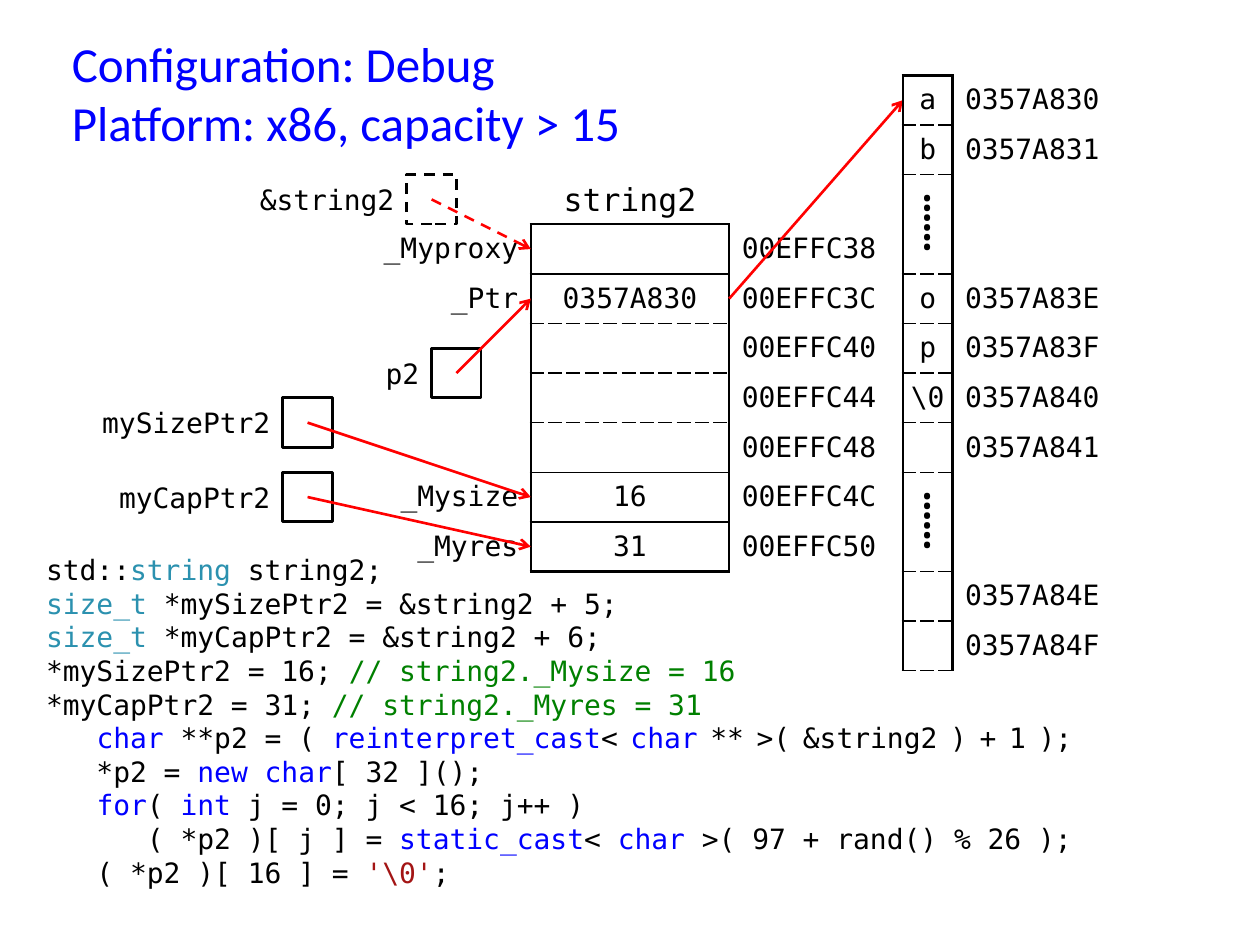
from lxml.etree import SubElement
from pptx import Presentation
from pptx.dml.color import RGBColor
from pptx.enum.dml import MSO_LINE
from pptx.enum.shapes import MSO_CONNECTOR, MSO_SHAPE
from pptx.enum.text import MSO_ANCHOR, PP_ALIGN
from pptx.oxml import parse_xml
from pptx.oxml.ns import nsdecls, qn
from pptx.util import Emu, Inches, Pt

PX = 7200
MONO = "DejaVu Sans Mono"
BLACK, BLUE, RED = "000000", "0000FF", "FF0000"
TEAL, GREEN, BROWN = "2B91AF", "008000", "A31515"
LEFT, CENTER, RIGHT = PP_ALIGN.LEFT, PP_ALIGN.CENTER, PP_ALIGN.RIGHT
NO_GRID = "{2D5ABB26-0587-4C30-8999-92F81FD0307C}"
CELL = 50
OUTER, SOLID, DASHED = (1.5, "solid"), (1, "solid"), (1, "sysDash")


def px(length):
    return Emu(length * PX)


def color(value):
    return RGBColor.from_string(value)


def add_span(paragraph, text, font=MONO, size=16, fill=BLACK):
    span = paragraph.add_run()
    span.text = text
    span.font.name = font
    span.font.size = Pt(size)
    span.font.color.rgb = color(fill)


def tight(text):
    spans = []
    for word in text.split():
        spans += [(" ", BLACK, 12), (word, BLUE if word == "char" else BLACK, 16)]
    return spans


def border_cell(cell, borders):
    properties = cell._tc.get_or_add_tcPr()
    for index, side in enumerate("LRTB"):
        width, dash = borders.get(side, (0, None))
        paint = (
            f'<a:solidFill><a:srgbClr val="{BLACK}"/></a:solidFill><a:prstDash val="{dash}"/>'
            if width else "<a:noFill/>"
        )
        line = parse_xml(f'<a:ln{side} {nsdecls("a")} w="{Pt(width)}">{paint}</a:ln{side}>')
        properties.insert(index, line)


class Sketch:
    def __init__(self, page):
        self.page = page
        self.stroke = 1.5

    def text_box(self, left, top, width, height, anchor=MSO_ANCHOR.MIDDLE):
        box = self.page.shapes.add_textbox(px(left), px(top), px(width), px(height))
        box.text_frame.word_wrap = True
        box.text_frame.vertical_anchor = anchor
        return box.text_frame

    def title(self, left, top, width, height, lines):
        paragraph = self.text_box(left, top, width, height, MSO_ANCHOR.TOP).paragraphs[0]
        for index, line in enumerate(lines):
            if index:
                paragraph.add_line_break()
            add_span(paragraph, line, font="Calibri", size=28, fill=BLUE)

    def label(self, left, top, width, text, align=RIGHT, size=16):
        paragraph = self.text_box(left, top, width, CELL).paragraphs[0]
        paragraph.alignment = align
        add_span(paragraph, text, size=size)

    def code(self, left, top, width, height, lines):
        frame = self.text_box(left, top, width, height, MSO_ANCHOR.TOP)
        for index, line in enumerate(lines):
            paragraph = frame.add_paragraph() if index else frame.paragraphs[0]
            paragraph.line_spacing = Pt(19.2)
            for text, fill, *size in line:
                add_span(paragraph, text, fill=fill, size=size[0] if size else 16)

    def pointer_box(self, left, top, dash=None):
        box = self.page.shapes.add_shape(
            MSO_SHAPE.RECTANGLE, px(left), px(top), px(CELL), px(CELL))
        box.shadow.inherit = False
        box.fill.background()
        box.line.color.rgb = color(BLACK)
        box.line.width = Pt(self.stroke)
        box.line.dash_style = dash

    def arrow(self, start, end, dash=None):
        arrow = self.page.shapes.add_connector(
            MSO_CONNECTOR.STRAIGHT, *map(px, start + end))
        arrow.line.color.rgb = color(RED)
        arrow.line.width = Pt(self.stroke)
        arrow.line.dash_style = dash
        SubElement(arrow.line._get_or_add_ln(), qn("a:tailEnd"), type="arrow")
        SubElement(arrow.element.spPr, qn("a:effectLst"))

    def memory(self, left, top, widths, rows, aligns, boxed, edges):
        frame = self.page.shapes.add_table(
            len(rows), len(widths), px(left), px(top), px(sum(widths)), px(CELL * len(rows)))
        table = frame.table
        table.first_row = table.horz_banding = False
        for style in frame.element.iter(qn("a:tableStyleId")):
            style.text = NO_GRID
        for column, width in zip(table.columns, widths):
            column.width = px(width)
        for row in table.rows:
            row.height = px(CELL)
        for y, texts in enumerate(rows):
            for x, text in enumerate(texts):
                cell = table.cell(y, x)
                cell.fill.background()
                cell.vertical_anchor = MSO_ANCHOR.MIDDLE
                cell.margin_top = cell.margin_bottom = 0
                if text is None:
                    table.cell(y - 1, x).merge(cell)
                    continue
                borders = {}
                if x == boxed:
                    cell.margin_left = cell.margin_right = 0
                    borders = {"L": OUTER, "R": OUTER, "T": edges[y], "B": edges[y + 1]}
                border_cell(cell, borders)
                paragraph = cell.text_frame.paragraphs[0]
                paragraph.alignment = aligns[x]
                if text == "⸽":
                    add_span(paragraph, text, font="Times New Roman", size=28)
                elif text:
                    add_span(paragraph, text)


CODE = [
    [("std::", BLACK), ("string ", TEAL), ("string2;", BLACK)],
    [("size_t ", TEAL), ("*mySizePtr2 = &string2 + 5;", BLACK)],
    [("size_t ", TEAL), ("*myCapPtr2 = &string2 + 6;", BLACK)],
    [("*mySizePtr2 = 16; ", BLACK), ("// string2._Mysize = 16", GREEN)],
    [("*myCapPtr2 = 31; ", BLACK), ("// string2._Myres = 31", GREEN)],
    [("   ", BLACK), ("char", BLUE), (" **p2 = ( ", BLACK), ("reinterpret_cast", BLUE),
     ("<", BLACK), *tight("char ** >( &string2 ) + 1 );")],
    [("   *p2 = ", BLACK), ("new char", BLUE), ("[ 32 ]();", BLACK)],
    [("   ", BLACK), ("for", BLUE), ("( ", BLACK), ("int ", BLUE),
     ("j = 0; j < 16; j++ )", BLACK)],
    [("      ( *p2 )[ j ] = ", BLACK), ("static_cast", BLUE), ("< ", BLACK),
     ("char", BLUE), (" >( 97 + rand() % 26 );", BLACK)],
    [("   ( *p2 )[ 16 ] = ", BLACK), ("'\\0'", BROWN), (";", BLACK)],
]
MEMBERS = [
    ("_Myproxy", "", "00EFFC38"),
    ("_Ptr", "0357A830", "00EFFC3C"),
    ("", "", "00EFFC40"),
    ("", "", "00EFFC44"),
    ("", "", "00EFFC48"),
    ("_Mysize", "16", "00EFFC4C"),
    ("_Myres", "31", "00EFFC50"),
]
CHARACTERS = [
    ("a", "0357A830"), ("b", "0357A831"), ("⸽", ""), (None, ""),
    ("o", "0357A83E"), ("p", "0357A83F"), ("\\0", "0357A840"), ("", "0357A841"),
    ("⸽", ""), (None, ""), ("", "0357A84E"), ("", "0357A84F"),
]
POINTERS = [
    ("&string2", 410, 176, 175, 251, MSO_LINE.DASH),
    ("p2", 435, 351, 75, 301, None),
    ("mySizePtr2", 285, 401, 200, 501, None),
    ("myCapPtr2", 285, 476, 200, 551, None),
]


def main():
    deck = Presentation()
    deck.slide_width, deck.slide_height = Inches(10), Inches(7.5)
    sketch = Sketch(deck.slides.add_slide(deck.slide_layouts[6]))
    sketch.code(34, 551, 1200, 350, CODE)
    sketch.title(60, 28, 625, 125, ["Configuration: Debug", "Platform: x86, capacity > 15"])
    sketch.memory(360, 226, [175, 200, 175], MEMBERS, [RIGHT, CENTER, LEFT], 1,
                  [OUTER, SOLID, DASHED, DASHED, DASHED, SOLID, SOLID, OUTER])
    sketch.label(535, 176, 200, "string2", align=CENTER, size=18)
    sketch.arrow((735, 301), (910, 101))
    sketch.memory(910, 76, [CELL, 175], CHARACTERS, [CENTER, LEFT], 0,
                  [OUTER] + [DASHED] * len(CHARACTERS))
    for name, left, top, width, target, dash in POINTERS:
        sketch.label(left - width, top, width, name)
        sketch.pointer_box(left, top, dash)
        sketch.arrow((left + CELL // 2, top + CELL // 2), (535, target), dash)
    deck.save("out.pptx")


if __name__ == "__main__":
    main()
